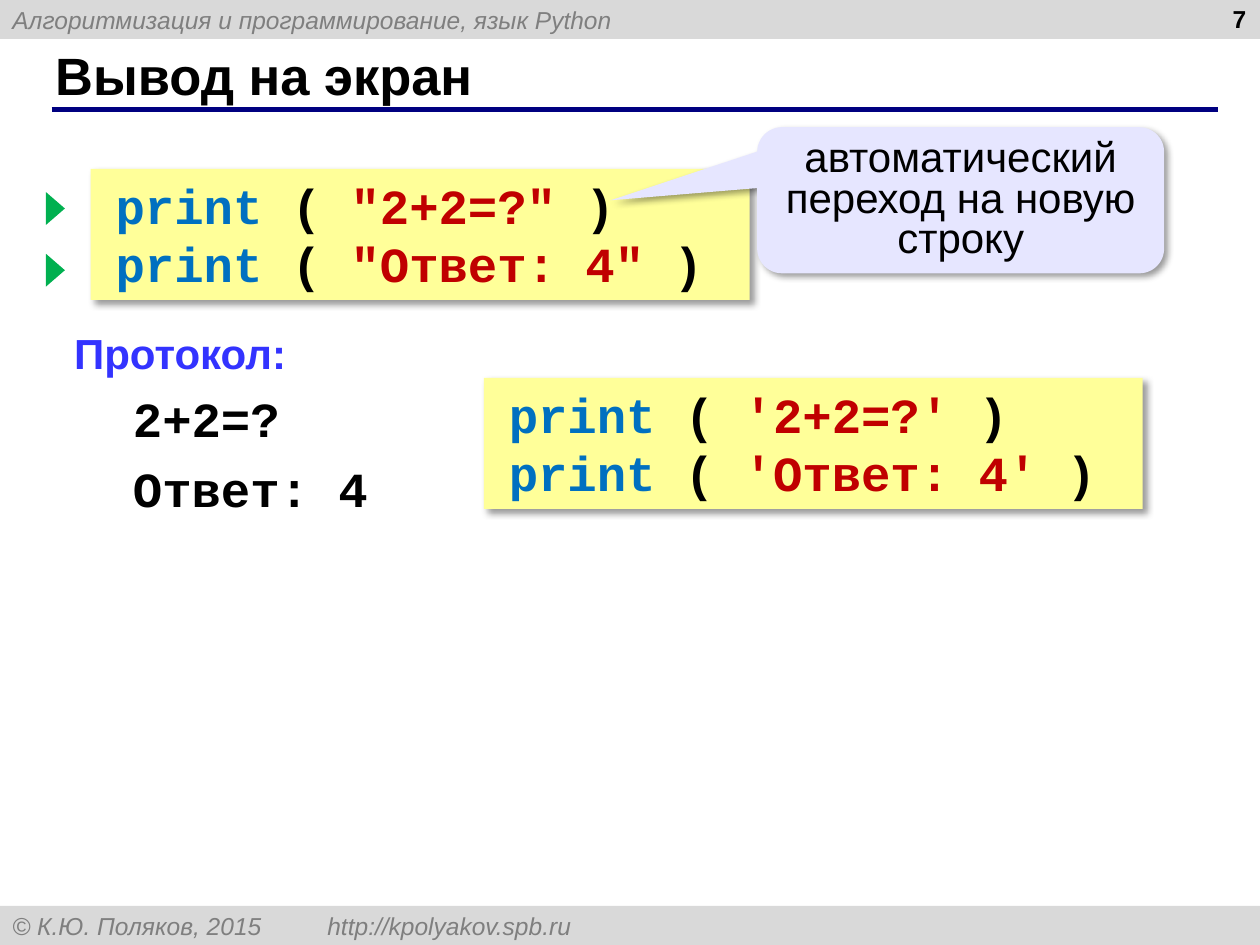
"""Builds the slide about printing to the screen in Python."""
from lxml import etree
from pptx import Presentation
from pptx.dml.color import RGBColor
from pptx.enum.shapes import MSO_CONNECTOR, MSO_SHAPE
from pptx.enum.text import MSO_ANCHOR, PP_ALIGN
from pptx.oxml import parse_xml
from pptx.oxml.ns import nsdecls, qn
from pptx.util import Inches, Pt

RECT, TRIANGLE = MSO_SHAPE.RECTANGLE, MSO_SHAPE.ISOSCELES_TRIANGLE
CALLOUT = MSO_SHAPE.ROUNDED_RECTANGULAR_CALLOUT
STRAIGHT = MSO_CONNECTOR.STRAIGHT
TOP, MIDDLE = MSO_ANCHOR.TOP, MSO_ANCHOR.MIDDLE
LEFT, CENTER, RIGHT = PP_ALIGN.LEFT, PP_ALIGN.CENTER, PP_ALIGN.RIGHT
COLORS = {
    "bar": "D9D9D9", "bar_text": "7F7F7F", "rule": "000080", "black": "000000",
    "code_box": "FFFF99", "keyword": "0070C0", "string": "C00000",
    "heading": "3333FF", "marker": "00B050", "callout": "E6E6FF",
}
COLUMNS, ROWS = 100, 75
SHADOW = (
    f'<a:effectLst {nsdecls("a")}><a:outerShdw blurRad="50800" dist="38100" '
    'dir="2700000" algn="tl" rotWithShape="0"><a:srgbClr val="000000">'
    '<a:alpha val="40000"/></a:srgbClr></a:outerShdw></a:effectLst>'
)

deck = Presentation()
deck.slide_width, deck.slide_height = Inches(10), Inches(7.5)
cell_w, cell_h = deck.slide_width / COLUMNS, deck.slide_height / ROWS
slide = deck.slides.add_slide(deck.slide_layouts[6])


def write(holder, lines, size=28, font="Arial", color="black", bold=False,
          italic=False, align=LEFT, anchor=TOP, margin=0, indent=0,
          before=0, spacing=None, tab=None):
    frame = holder.text_frame
    frame.word_wrap = True
    frame.vertical_anchor = anchor
    for line in lines:
        paragraph = frame.paragraphs[-1]
        if paragraph.runs:
            paragraph = frame.add_paragraph()
        properties = paragraph._p.get_or_add_pPr()
        properties.set("marL", str(round(margin * cell_w)))
        properties.set("indent", str(round(indent * cell_w)))
        if tab:
            stops = etree.SubElement(properties, qn("a:tabLst"))
            etree.SubElement(stops, qn("a:tab"), pos=str(round(tab * cell_w)), algn="r")
        paragraph.alignment = align
        if before:
            paragraph.space_before = Pt(before)
        if spacing:
            paragraph.line_spacing = spacing
        for text, tint in [(line, color)] if isinstance(line, str) else line:
            run = paragraph.add_run()
            run.text = text
            run.font.size, run.font.name = Pt(size), font
            run.font.bold, run.font.italic = bold, italic
            run.font.color.rgb = RGBColor.from_string(COLORS[tint])


def place(column, row, width, height, kind=None, fill=None, shadow=False):
    box = [round(n) for n in (column * cell_w, row * cell_h, width * cell_w, height * cell_h)]
    if kind is None:
        return slide.shapes.add_textbox(*box)
    shape = slide.shapes.add_shape(kind, *box)
    shape.fill.solid()
    shape.fill.fore_color.rgb = RGBColor.from_string(COLORS[fill])
    shape.line.fill.background()
    shape.shadow.inherit = False
    if shadow:
        effects = shape._element.spPr.find(qn("a:effectLst"))
        effects.getparent().replace(effects, parse_xml(SHADOW))
    return shape


bar_height = 3.1
for row, caption, tab in (
    (0, "Алгоритмизация и программирование, язык Python", None),
    (ROWS - bar_height, "© К.Ю. Поляков, 2015 \thttp://kpolyakov.spb.ru", 96.1),
):
    bar = place(0, row, COLUMNS, bar_height, RECT, "bar")
    write(bar, [caption], size=14, color="bar_text", italic=True, anchor=MIDDLE, tab=tab)

title_rule = slide.shapes.add_connector(
    STRAIGHT, *[round(n) for n in (4.1 * cell_w, 8.7 * cell_h, 96.7 * cell_w, 8.7 * cell_h)])
title_rule.line.color.rgb = RGBColor.from_string(COLORS["rule"])
title_rule.line.width = Pt(3)
etree.SubElement(title_rule._element.spPr, qn("a:effectLst"))

title = place(3.4, 3.3, 91.6, 5.2)
write(title, ["Вывод на экран"], size=30, bold=True, anchor=MIDDLE)
page_number = place(76.6, -0.2, 23.3, 5.2)
write(page_number, ["7"], size=14, bold=True, align=RIGHT)

for column, row, quote in ((7.2, 13.4, '"'), (38.4, 30, "'")):
    code_box = place(column, row, 52.3, 10.4, RECT, "code_box", shadow=True)
    code = [
        [("print", "keyword"), (" ( ", "black"),
         (f"{quote}{message}{quote}", "string"), (" )", "black")]
        for message in ("2+2=?", "Ответ: 4")
    ]
    write(code_box, code, font="Courier New", bold=True, indent=1)

protocol = place(4.9, 25.5, 90.6, 16.4)
write(protocol, ["Протокол:"], size=24, color="heading", bold=True)
write(protocol, ["2+2=?", "Ответ: 4"], font="Courier New", bold=True, margin=4.67, before=6.3)

for row in (15.8, 20.7):
    marker = place(3.1, row, 2.6, 1.5, TRIANGLE, "marker")
    marker.rotation = 90

newline_note = place(60.1, 10.1, 32.3, 11.6, CALLOUT, "callout", shadow=True)
for index, value in enumerate((-0.86, 0, 0.17)):
    newline_note.adjustments[index] = value
write(newline_note, ["автоматический переход на новую строку"], size=24, align=CENTER, spacing=0.8)

deck.save("out.pptx")
